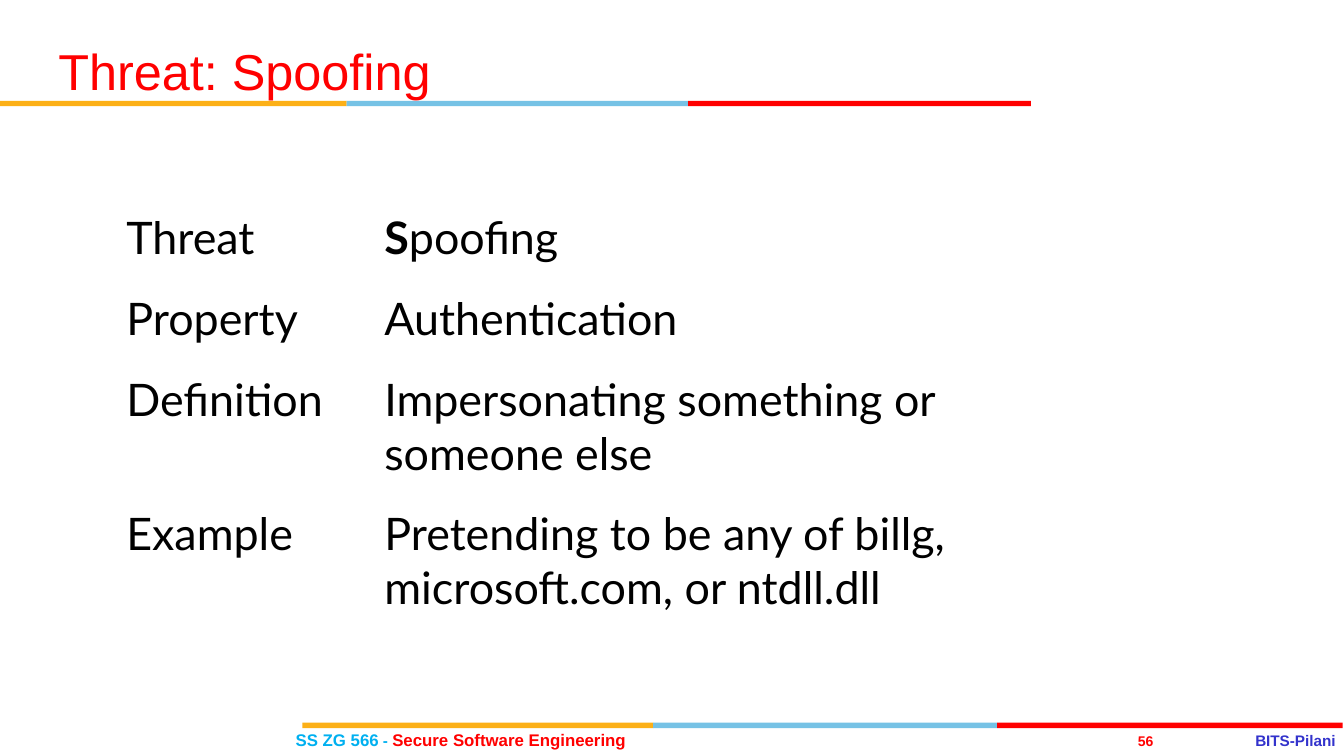
from pptx import Presentation
from pptx.dml.color import RGBColor
from pptx.enum.shapes import MSO_SHAPE as Kind
from pptx.enum.text import MSO_ANCHOR as Anchor, PP_ALIGN as Align
from pptx.util import Inches, Pt

deck = Presentation()
deck.slide_width = Inches(10)
deck.slide_height = deck.slide_width * 9 // 16
col, row = deck.slide_width / 100, deck.slide_height / 100
slide = deck.slides.add_slide(deck.slide_layouts[6])
shapes = slide.shapes
hue = RGBColor.from_string


def place(x, y, w, h):
    return round(x * col), round(y * row), round(w * col), round(h * row)


def write(line, text, size=24, face="Lato", color="000000", bold=False):
    run = line.add_run()
    run.text = text
    run.font.size = Pt(size)
    run.font.name = face
    run.font.bold = bold
    run.font.color.rgb = hue(color)


bands = [
    (0, 13.33, (25.8, 25.4, 25.5)),
    (22.5, 95.6, (26.1, 25.6, 25.7)),
]
for left, top, widths in bands:
    for width, color in zip(widths, ("FCB017", "76C2E5", "FF0000")):
        bar = shapes.add_shape(Kind.RECTANGLE, *place(left, top, width, 0.71))
        bar.shadow.inherit = False
        bar.fill.solid()
        bar.fill.fore_color.rgb = hue(color)
        bar.line.fill.background()
        left += width

labels = [
    ((93.4, 96.71, 6.4, 2.49), Align.JUSTIFY, [("BITS-Pilani", 8.2, "3333CC")]),
    ((84, 96.89, 2.5, 2.31), Align.CENTER, [("56", 7.5, "FF0000")]),
    ((22, 96.53, 27.6, 2.67), Align.LEFT, [
        ("SS ZG 566", 9, "00B0F0"),
        (" - ", 8.2, "00B0F0"),
        ("Secure Software Engineering", 9, "FF0000"),
    ]),
]
for area, align, runs in labels:
    frame = shapes.add_textbox(*place(*area)).text_frame
    frame.word_wrap = True
    frame.vertical_anchor = Anchor.MIDDLE
    frame.margin_left = frame.margin_right = 0
    frame.margin_top = frame.margin_bottom = 0
    line = frame.paragraphs[0]
    line.alignment = align
    for text, size, color in runs:
        write(line, text, size=size, face="Arial", color=color, bold=True)

title = shapes.add_textbox(*place(3.35, 3.02, 69.2, 14.04)).text_frame
title.word_wrap = True
title.vertical_anchor = Anchor.MIDDLE
title.paragraphs[0].line_spacing = Pt(27)
write(title.paragraphs[0], "Threat: Spoofing", size=27, face="Arial", color="FF0000")

facts = [
    ("Threat", [("S", True), ("poofing", False)], 10.67),
    ("Property", [("Authentication", False)], 10.67),
    ("Definition", [("Impersonating something or someone else", False)], 17.78),
    ("Example", [("Pretending to be any of billg, microsoft.com, or ntdll.dll", False)], 18.31),
]
table = shapes.add_table(len(facts), 2, *place(8.4, 26.1, 74.9, 57.43)).table
table.first_row = table.horz_banding = False
for column, width in zip(table.columns, (19.2, 55.7)):
    column.width = round(width * col)
for band, (name, value, height) in zip(table.rows, facts):
    band.height = round(height * row)
    for cell, runs in zip(band.cells, ([(name, False)], value)):
        cell.fill.background()
        cell.margin_left = cell.margin_right = round(col)
        cell.margin_top = cell.margin_bottom = round(col)
        for text, bold in runs:
            write(cell.text_frame.paragraphs[0], text, bold=bold)

deck.save("out.pptx")
